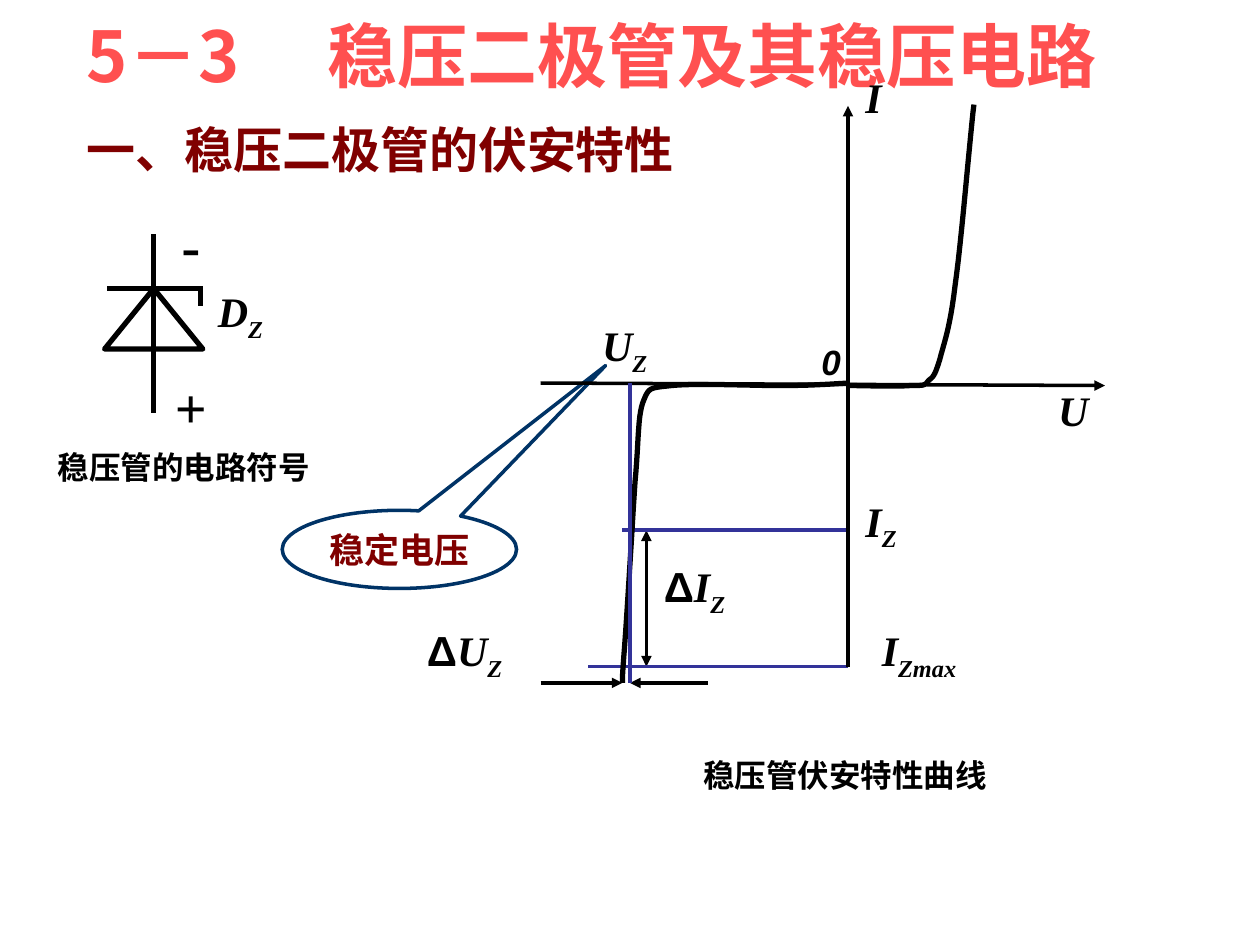
from lxml import etree
from pptx import Presentation
from pptx.dml.color import RGBColor
from pptx.enum.shapes import MSO_CONNECTOR, MSO_SHAPE
from pptx.enum.text import MSO_ANCHOR, MSO_AUTO_SIZE, PP_ALIGN
from pptx.oxml.ns import qn
from pptx.util import Inches, Pt

STRAIGHT = MSO_CONNECTOR.STRAIGHT
TRIANGLE, CALLOUT = MSO_SHAPE.ISOSCELES_TRIANGLE, MSO_SHAPE.OVAL_CALLOUT
TOP, MIDDLE = MSO_ANCHOR.TOP, MSO_ANCHOR.MIDDLE
LEFT, CENTER = PP_ALIGN.LEFT, PP_ALIGN.CENTER
NO_AUTOFIT = MSO_AUTO_SIZE.NONE

BLACK = RGBColor(0x00, 0x00, 0x00)
CORAL = RGBColor(0xFF, 0x50, 0x50)
MAROON = RGBColor(0x80, 0x00, 0x00)
NAVY = RGBColor(0x00, 0x33, 0x66)
INDIGO = RGBColor(0x33, 0x33, 0x99)

SERIF, SANS, CHINESE = "Times New Roman", "Arial", "Noto Sans CJK SC"

# Key positions of the characteristic curve, in inches
CURRENT_AXIS, VOLTAGE_AXIS = 6.73, 3.04
IZ_LEVEL, IZMAX_LEVEL, UZ_LEVEL = 4.21, 5.29, 5.42
UZ_X, CURVE_END_X = 5, 4.94

# Start point, then cubic segments (two control points and an end point)
FORWARD_CURVE = [
    (6.73, 3.06),
    (6.81, 3.06), (7.12, 3.07), (7.23, 3.06),
    (7.34, 3.06), (7.34, 3.06), (7.37, 3.02),
    (7.41, 2.99), (7.42, 2.98), (7.46, 2.85),
    (7.49, 2.73), (7.54, 2.61), (7.58, 2.27),
    (7.63, 1.93), (7.7, 1.07), (7.73, 0.83),
]
REVERSE_CURVE = [
    (6.73, 3.04),
    (6.57, 3.05), (6.42, 3.06), (6.19, 3.06),
    (5.95, 3.06), (5.51, 3.04), (5.33, 3.06),
    (5.15, 3.08), (5.15, 3.07), (5.1, 3.2),
    (5.06, 3.32), (5.07, 3.51), (5.04, 3.82),
    (5.02, 4.13), (4.98, 4.82), (4.96, 5.09),
    (4.94, 5.35), (4.94, 5.36), (4.94, 5.42),
]


def format_paragraph(paragraph, size, color, font_name, align=LEFT):
    paragraph.alignment = align
    font = paragraph.font
    font.size, font.bold, font.name = Pt(size), True, font_name
    font.color.rgb = color
    defaults = paragraph._p.pPr.find(qn("a:defRPr"))
    etree.SubElement(defaults, qn("a:ea")).set("typeface", CHINESE)


def add_text(slide, box, text, size, color=BLACK, font_name=SANS,
             align=LEFT, anchor=TOP, wrap=False):
    shape = slide.shapes.add_textbox(*map(Inches, box))
    frame = shape.text_frame
    frame.word_wrap, frame.vertical_anchor = wrap, anchor
    paragraph = frame.paragraphs[0]
    paragraph.text = text
    format_paragraph(paragraph, size, color, font_name, align)
    return paragraph


def add_symbol(slide, box, letter, subscript="", delta=False):
    """Italic quantity with an optional delta and subscript."""
    paragraph = add_text(slide, box, "Δ" if delta else "", 24, wrap=True)
    for text, baseline in ((letter, 0), (subscript, -25000)):
        if text:
            run = paragraph.add_run()
            run.text = text
            run.font.name, run.font.italic = SERIF, True
            if baseline:
                run._r.get_or_add_rPr().set("baseline", str(baseline))


def style_outline(shape, color, width):
    shape.shadow.inherit = False
    shape.fill.background()
    shape.line.color.rgb = color
    shape.line.width = Pt(width)


def add_line(slide, start, end, color=BLACK, width=2, head=False, tail=False):
    line = slide.shapes.add_connector(STRAIGHT, *map(Inches, start + end))
    line.line.color.rgb = color
    line.line.width = Pt(width)
    properties = line._element.spPr
    outline = properties.find(qn("a:ln"))
    for wanted, tag in ((head, "a:headEnd"), (tail, "a:tailEnd")):
        if wanted:
            etree.SubElement(outline, qn(tag)).set("type", "triangle")
    etree.SubElement(properties, qn("a:effectLst"))


def curve_points(points, steps=12):
    """Sample a chain of cubic segments."""
    for i in range(0, len(points) - 1, 3):
        segment = points[i:i + 4]
        for step in range(1, steps + 1):
            t = step / steps
            weights = ((1 - t) ** 3, 3 * t * (1 - t) ** 2,
                       3 * t * t * (1 - t), t ** 3)
            yield tuple(Inches(sum(w * p[axis] for w, p in zip(weights, segment)))
                        for axis in (0, 1))


def add_curve(slide, points):
    builder = slide.shapes.build_freeform(*map(Inches, points[0]))
    builder.add_line_segments(curve_points(points), close=False)
    style_outline(builder.convert_to_shape(), BLACK, 3)


def add_title(slide):
    title = slide.shapes.title
    title.left, title.top = Inches(0.59), Inches(0.05)
    title.width, title.height = Inches(8.74), Inches(0.77)
    frame = title.text_frame
    frame.auto_size, frame.word_wrap = NO_AUTOFIT, False
    frame.vertical_anchor = MIDDLE
    paragraph = frame.paragraphs[0]
    paragraph.add_run().text = "5－3\t稳压二极管及其稳压电路"
    tabs = etree.SubElement(paragraph._p.get_or_add_pPr(), qn("a:tabLst"))
    tab = etree.SubElement(tabs, qn("a:tab"))
    tab.set("pos", str(Inches(1.91)))
    tab.set("algn", "l")
    format_paragraph(paragraph, 40, CORAL, CHINESE)


def add_diode_symbol(slide):
    add_line(slide, (0.85, 2.29), (1.61, 2.29), width=3)
    triangle = slide.shapes.add_shape(
        TRIANGLE, *map(Inches, (0.83, 2.29, 0.78, 0.48)))
    style_outline(triangle, BLACK, 3)
    add_line(slide, (1.59, 2.28), (1.59, 2.43), width=3)
    add_line(slide, (1.22, 1.86), (1.22, 3.28), width=3)
    for box, sign in (((1.29, 2.9, 0.45, 0.64), "+"),
                      ((1.34, 1.62, 0.35, 0.64), "-")):
        add_text(slide, box, sign, 32, font_name=SERIF, align=CENTER, anchor=MIDDLE)
    add_symbol(slide, (1.63, 2.22, 0.82, 0.56), "D", "Z")
    add_text(slide, (0.36, 3.51, 2.2, 0.4), "稳压管的电路符号", 18, align=CENTER)


def add_callout(slide):
    callout = slide.shapes.add_shape(
        CALLOUT, *map(Inches, (2.24, 4.05, 1.86, 0.62)))
    callout.adjustments[0], callout.adjustments[1] = 0.88, -2.353
    style_outline(callout, NAVY, 2)
    frame = callout.text_frame
    frame.word_wrap, frame.vertical_anchor = False, MIDDLE
    frame.text = "稳定电压"
    format_paragraph(frame.paragraphs[0], 20, MAROON, SERIF, CENTER)


def add_characteristic(slide):
    # Change of voltage and of current
    add_line(slide, (4.29, UZ_LEVEL), (CURVE_END_X, UZ_LEVEL), tail=True)
    add_line(slide, (UZ_X, UZ_LEVEL), (5.62, UZ_LEVEL), head=True)
    add_line(slide, (5.13, IZ_LEVEL), (5.13, IZMAX_LEVEL), head=True, tail=True)

    # Current levels
    for left, level in ((4.67, IZMAX_LEVEL), (CURVE_END_X, IZ_LEVEL)):
        add_line(slide, (left, level), (CURRENT_AXIS, level), INDIGO, 2.25)

    # Axes, curves and the Zener voltage
    add_line(slide, (CURRENT_AXIS, 0.84), (CURRENT_AXIS, IZMAX_LEVEL), head=True)
    add_line(slide, (4.29, VOLTAGE_AXIS), (8.77, 3.06), tail=True)
    add_curve(slide, FORWARD_CURVE)
    add_curve(slide, REVERSE_CURVE)
    add_line(slide, (UZ_X, VOLTAGE_AXIS), (UZ_X, UZ_LEVEL), INDIGO, 2.25)

    # Labels
    add_symbol(slide, (3.29, 4.91, 1.83, 0.56), "U", "Z", delta=True)
    add_symbol(slide, (4.68, 2.49, 0.71, 0.56), "U", "Z")
    add_symbol(slide, (5.17, 4.4, 1.4, 0.56), "I", "Z", delta=True)
    add_symbol(slide, (6.77, 3.88, 0.82, 0.56), "I", "Z")
    add_symbol(slide, (6.9, 4.91, 2.08, 0.56), "I", "Zmax")
    add_symbol(slide, (6.77, 0.52, 0.33, 0.5), "I")
    add_symbol(slide, (8.3, 3, 0.55, 0.5), "U")
    add_text(slide, (6.42, 2.65, 0.35, 0.44), "0", 20).font.italic = True
    add_text(slide, (5.48, 5.95, 2.45, 0.4), "稳压管伏安特性曲线", 18, align=CENTER)


def main():
    presentation = Presentation()
    presentation.slide_width, presentation.slide_height = Inches(10), Inches(7.5)
    slide = presentation.slides.add_slide(presentation.slide_layouts[5])
    add_title(slide)
    add_text(slide, (0.59, 0.68, 5.04, 1), "一、稳压二极管的伏安特性", 28,
             MAROON, CHINESE, anchor=MIDDLE, wrap=True)
    add_callout(slide)
    add_diode_symbol(slide)
    add_characteristic(slide)
    presentation.save("out.pptx")


if __name__ == "__main__":
    main()
